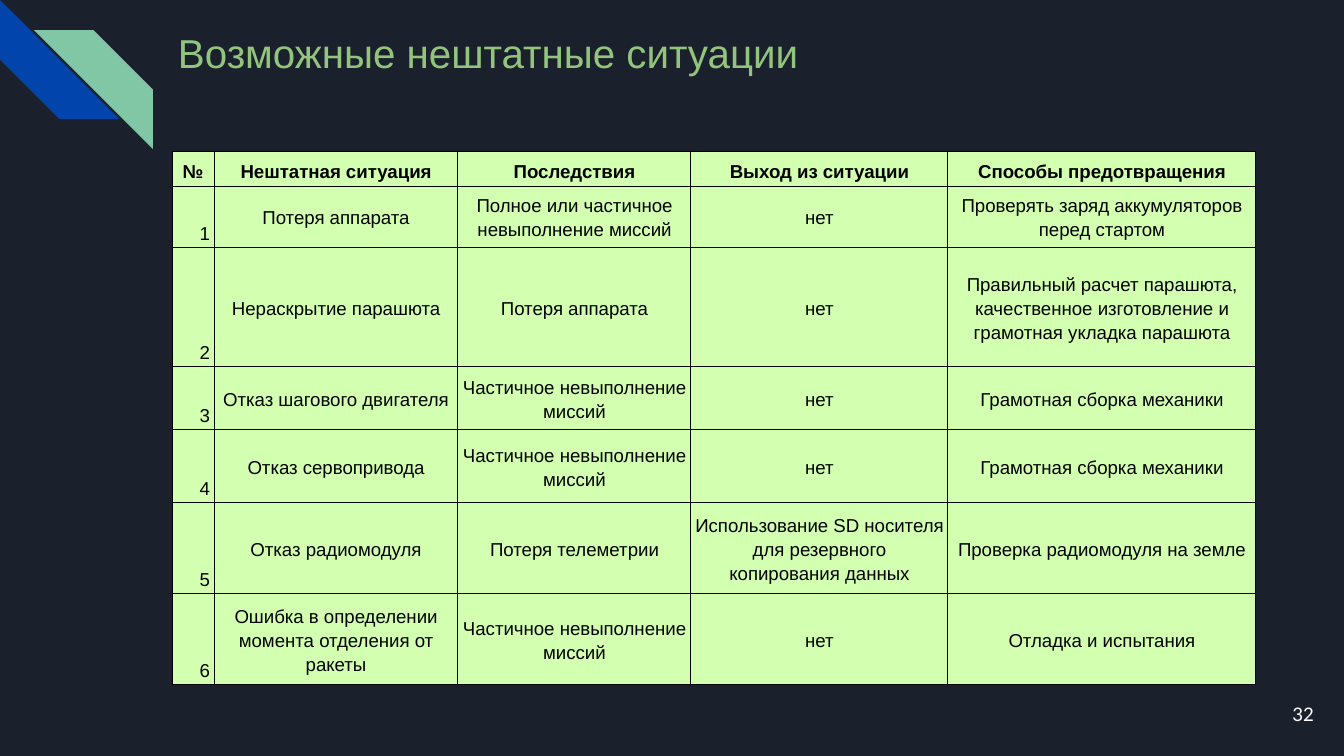
"""Builds the slide with a table of possible off-nominal situations."""

import dataclasses

import lxml.etree
import pptx
import pptx.dml.color
import pptx.enum.shapes
import pptx.enum.text
import pptx.oxml.ns
import pptx.util

RGBColor = pptx.dml.color.RGBColor
Align = pptx.enum.text.PP_ALIGN
Anchor = pptx.enum.text.MSO_ANCHOR

BACKGROUND = RGBColor(0x1B, 0x21, 0x2C)
BLUE = RGBColor(0x01, 0x45, 0xAC)
MINT = RGBColor(0x82, 0xC7, 0xA5)
TITLE_GREEN = RGBColor(0x93, 0xC4, 0x7D)
CELL_GREEN = RGBColor(0xD3, 0xFF, 0xB0)
WHITE = RGBColor(0xFF, 0xFF, 0xFF)
BLACK = RGBColor(0x00, 0x00, 0x00)

EMU_PER_PX = 914400 / 134.4
BORDER_POINTS = 0.6
COLUMN_WIDTHS = (42, 244, 233, 257, 308)
ROW_HEIGHTS = (35, 62, 119, 63, 73, 91, 91)
HEADERS = ("№", "Нештатная ситуация", "Последствия", "Выход из ситуации", "Способы предотвращения")
PARTIAL_FAILURE = "Частичное невыполнение миссий"


@dataclasses.dataclass(frozen=True)
class Box:
    left: int
    top: int
    width: int
    height: int

    def emu(self) -> list[int]:
        return [px(length) for length in dataclasses.astuple(self)]


@dataclasses.dataclass(frozen=True)
class Stripe:
    box: Box
    color: RGBColor
    rotation: int = 0
    flipped: bool = False


@dataclasses.dataclass(frozen=True)
class Label:
    box: Box
    text: str
    font: str
    size: float
    color: RGBColor
    align: Align


@dataclasses.dataclass(frozen=True)
class Situation:
    name: str
    consequence: str
    prevention: str
    way_out: str = "нет"


STRIPES = (
    Stripe(Box(0, 0, 119, 119), BLUE, rotation=270),
    Stripe(Box(34, 30, 119, 119), MINT, flipped=True),
)
LABELS = (
    Label(Box(1246, 685, 81, 58), "32", "Lato", 10, WHITE, Align.RIGHT),
    Label(Box(165, 15, 1035, 74), "Возможные нештатные ситуации", "Arial", 21.6, TITLE_GREEN, Align.LEFT),
)
SITUATIONS = (
    Situation("Потеря аппарата", "Полное или частичное невыполнение миссий",
              "Проверять заряд аккумуляторов перед стартом"),
    Situation("Нераскрытие парашюта", "Потеря аппарата",
              "Правильный расчет парашюта, качественное изготовление и грамотная укладка парашюта"),
    Situation("Отказ шагового двигателя", PARTIAL_FAILURE, "Грамотная сборка механики"),
    Situation("Отказ сервопривода", PARTIAL_FAILURE, "Грамотная сборка механики"),
    Situation("Отказ радиомодуля", "Потеря телеметрии", "Проверка радиомодуля на земле",
              "Использование SD носителя для резервного копирования данных"),
    Situation("Ошибка в определении момента отделения от ракеты", PARTIAL_FAILURE, "Отладка и испытания"),
)


def px(length: int) -> int:
    return round(length * EMU_PER_PX)


def set_margins(target, horizontal: int, vertical: int) -> None:
    target.margin_left = target.margin_right = px(horizontal)
    target.margin_top = target.margin_bottom = px(vertical)


def add_text(paragraph, text: str, font: str, size: float, color: RGBColor, bold: bool = False) -> None:
    run = paragraph.add_run()
    run.text = text
    run.font.name = font
    run.font.size = pptx.util.Pt(size)
    run.font.color.rgb = color
    run.font.bold = bold


def add_stripe(slide, stripe: Stripe) -> None:
    shape = slide.shapes.add_shape(pptx.enum.shapes.MSO_SHAPE.DIAGONAL_STRIPE, *stripe.box.emu())
    shape.adjustments[0] = 0.5
    shape.rotation = stripe.rotation
    shape.shadow.inherit = False
    shape.fill.solid()
    shape.fill.fore_color.rgb = stripe.color
    shape.line.fill.background()
    if stripe.flipped:
        shape.element.spPr.xfrm.set("flipH", "1")


def add_label(slide, label: Label) -> None:
    frame = slide.shapes.add_textbox(*label.box.emu()).text_frame
    frame.word_wrap = True
    frame.vertical_anchor = Anchor.MIDDLE
    set_margins(frame, 13, 13)
    paragraph = frame.paragraphs[0]
    paragraph.alignment = label.align
    add_text(paragraph, label.text, label.font, label.size, label.color)


def add_borders(cell) -> None:
    qualified = pptx.oxml.ns.qn
    properties = cell._tc.get_or_add_tcPr()
    for index, side in enumerate(("lnL", "lnR", "lnT", "lnB")):
        line = lxml.etree.Element(qualified(f"a:{side}"), w=str(pptx.util.Pt(BORDER_POINTS)))
        fill = lxml.etree.SubElement(line, qualified("a:solidFill"))
        lxml.etree.SubElement(fill, qualified("a:srgbClr"), val=str(BLACK))
        properties.insert(index, line)


def fill_cell(cell, text: str, align: Align, anchor: Anchor, bold: bool) -> None:
    cell.fill.solid()
    cell.fill.fore_color.rgb = CELL_GREEN
    cell.vertical_anchor = anchor
    set_margins(cell, 4, 3)
    paragraph = cell.text_frame.paragraphs[0]
    paragraph.alignment = align
    paragraph.line_spacing = 1.15
    add_text(paragraph, text, "Arial", 10, BLACK, bold)
    add_borders(cell)


def add_situation_table(slide) -> None:
    box = Box(172, 151, sum(COLUMN_WIDTHS), sum(ROW_HEIGHTS))
    table = slide.shapes.add_table(len(ROW_HEIGHTS), len(COLUMN_WIDTHS), *box.emu()).table
    for column, width in zip(table.columns, COLUMN_WIDTHS):
        column.width = px(width)
    for row, height in zip(table.rows, ROW_HEIGHTS):
        row.height = px(height)
    rows = [HEADERS] + [
        (str(number), item.name, item.consequence, item.way_out, item.prevention)
        for number, item in enumerate(SITUATIONS, 1)
    ]
    for row_index, texts in enumerate(rows):
        is_header = row_index == 0
        for column_index, text in enumerate(texts):
            is_number = column_index == 0
            align = Align.RIGHT if is_number and not is_header else Align.CENTER
            anchor = Anchor.BOTTOM if is_number or is_header else Anchor.MIDDLE
            fill_cell(table.cell(row_index, column_index), text, align, anchor, is_header)


def main() -> None:
    presentation = pptx.Presentation()
    presentation.slide_width = px(1344)
    presentation.slide_height = px(756)
    slide = presentation.slides.add_slide(presentation.slide_layouts[6])
    slide.background.fill.solid()
    slide.background.fill.fore_color.rgb = BACKGROUND
    for stripe in STRIPES:
        add_stripe(slide, stripe)
    for label in LABELS:
        add_label(slide, label)
    add_situation_table(slide)
    presentation.save("out.pptx")


if __name__ == "__main__":
    main()
